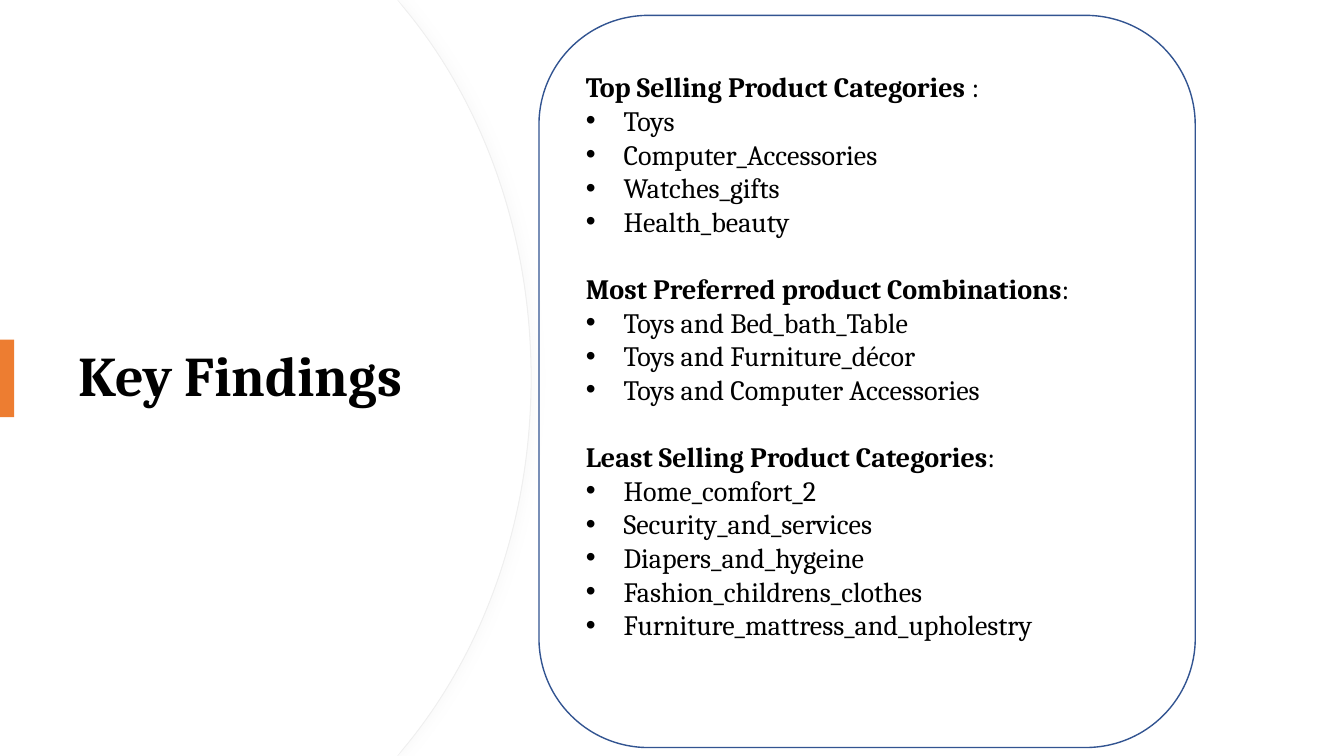
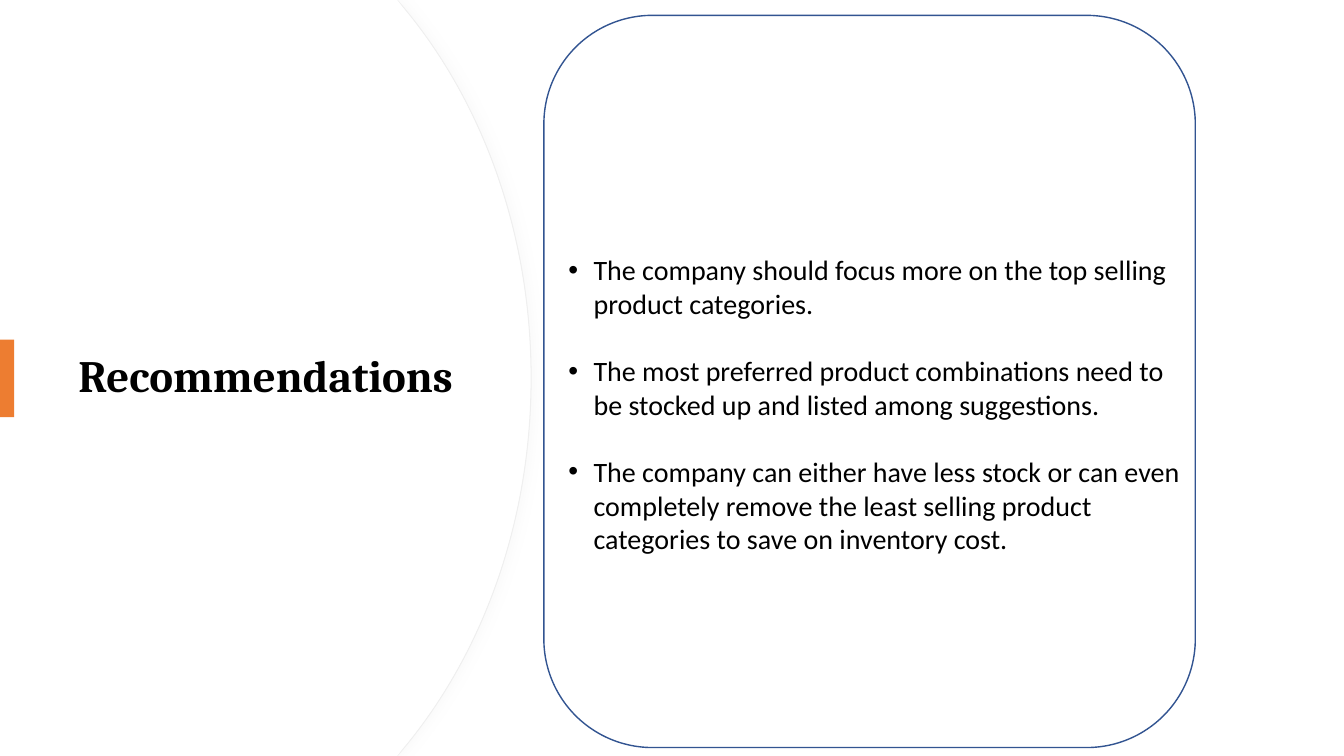
from lxml.etree import SubElement
from pptx import Presentation
from pptx.dml.color import RGBColor
from pptx.enum.shapes import MSO_SHAPE as Preset
from pptx.enum.text import MSO_ANCHOR as Anchor
from pptx.oxml.ns import qn
from pptx.util import Pt

COLORS = {
    "white": "FFFFFF",
    "black": "000000",
    "accent": "ED7D31",
    "frame": "325491",
    "edge": "EFEFEF",
    "shade": "D9D9D9",
}
SLIDE_WIDTH, SLIDE_HEIGHT = 960, 540
FRAME_TOP, FRAME_RIGHT, FRAME_HEIGHT = 11, 853.8, 523
BODY_RIGHT = 863.3
BLANK_LINE = 24
TITLE = {"name": "Cambria", "bold": True}
BODY = {"name": "Cambria", "size": Pt(20), "bold": False}
HEADING = {**BODY, "bold": True}
ADVICE = {**BODY, "name": "Calibri"}

FINDINGS = [
    ("Top Selling Product Categories", " :",
     ["Toys", "Computer_Accessories", "Watches_gifts", "Health_beauty"]),
    ("Most Preferred product Combinations", ":",
     ["Toys and Bed_bath_Table", "Toys and Furniture_décor",
      "Toys and Computer Accessories"]),
    ("Least Selling Product Categories", ":",
     ["Home_comfort_2", "Security_and_services", "Diapers_and_hygeine",
      "Fashion_childrens_clothes", "Furniture_mattress_and_upholestry"]),
]
RECOMMENDATIONS = [
    "The company should focus more on the top selling product categories.",
    "The most preferred product combinations need to be stocked up and "
    "listed among suggestions.",
    "The company can either have less stock or can even completely remove "
    "the least selling product categories to save on inventory cost.",
]


def color(name):
    return RGBColor.from_string(COLORS[name])


def paint(shape, fill=None, line=None, width=1):
    shape.shadow.inherit = False
    if fill:
        shape.fill.solid()
        shape.fill.fore_color.rgb = color(fill)
    else:
        shape.fill.background()
    if line:
        shape.line.color.rgb = color(line)
        shape.line.width = Pt(width)
    else:
        shape.line.fill.background()


def add_preset(slide, preset, left, top, width, height, **look):
    shape = slide.shapes.add_shape(preset, Pt(left), Pt(top), Pt(width), Pt(height))
    paint(shape, **look)


def bend(segments):
    curve = segments[0]
    curve.tag = qn("a:cubicBezTo")
    for segment in segments[1:]:
        curve.append(segment[0])
        segment.getparent().remove(segment)


def add_curved_panel(slide, inset=0, **look):
    upper = [(283.7, 0), (288.7 - inset, 5.8), (344.9 - inset, 73.4),
             (379.4 - inset, 167), (379.4 - inset, SLIDE_HEIGHT / 2)]
    lower = [(x, SLIDE_HEIGHT - y) for x, y in reversed(upper[:-1])]
    outline = [*upper, *lower, (0, SLIDE_HEIGHT)]
    builder = slide.shapes.build_freeform(0, 0)
    builder.add_line_segments([(Pt(x), Pt(y)) for x, y in outline], close=True)
    panel = builder.convert_to_shape()
    segments = list(panel.element.spPr.iter(qn("a:lnTo")))
    for first in (2, 5):
        bend(segments[first:first + 3])
    paint(panel, **look)
    return panel


def add_soft_shadow(shape):
    effects = shape.element.spPr.find(qn("a:effectLst"))
    shadow = SubElement(effects, qn("a:outerShdw"), blurRad=str(Pt(7)),
                        dist=str(Pt(3)), dir="0", algn="l", rotWithShape="0")
    shade = SubElement(shadow, qn("a:srgbClr"), val=COLORS["shade"])
    SubElement(shade, qn("a:alpha"), val="12000")


def add_text_box(slide, left, top, width, height, anchor=Anchor.TOP):
    box = slide.shapes.add_textbox(Pt(left), Pt(top), Pt(width), Pt(height))
    box.text_frame.word_wrap = True
    box.text_frame.vertical_anchor = anchor
    return box.text_frame


def add_para(frame, spans, gap=0, indent=0):
    first = frame.paragraphs[0]
    para = frame.add_paragraph() if first.runs else first
    para.space_before = Pt(gap)
    for text, style in spans:
        span = para.add_run()
        span.text = text
        span.font.color.rgb = color("black")
        for name, value in style.items():
            setattr(span.font, name, value)
    if indent:
        props = para._p.get_or_add_pPr()
        props.set("marL", str(Pt(indent)))
        props.set("indent", str(-Pt(indent)))
        SubElement(props, qn("a:buFont"), typeface="Arial")
        SubElement(props, qn("a:buChar"), char="•")
    return para


def add_page(deck, title, title_size, title_width, frame_left):
    page = deck.slides.add_slide(deck.slide_layouts[6])
    page.background.fill.solid()
    page.background.fill.fore_color.rgb = color("white")
    add_soft_shadow(add_curved_panel(page, fill="white", line="edge", width=0.75))
    add_curved_panel(page, inset=0.7, fill="white")
    frame = add_text_box(page, 49, 91.7, title_width, 356.4, Anchor.MIDDLE)
    para = add_para(frame, [(title, {**TITLE, "size": Pt(title_size)})])
    para.line_spacing = 0.9
    add_preset(page, Preset.RECTANGLE, 0, 242.6, 10.1, 55.4, fill="accent")
    add_preset(page, Preset.ROUNDED_RECTANGLE, frame_left, FRAME_TOP,
               FRAME_RIGHT - frame_left, FRAME_HEIGHT, line="frame")
    return page


def add_body(page, left, top, height):
    return add_text_box(page, left, top, BODY_RIGHT - left, height)


def add_findings(deck):
    page = add_page(deck, "Key Findings", 40, 283.7, 385)
    frame = add_body(page, 411.4, 46.4, 451.4)
    for number, (heading, ending, items) in enumerate(FINDINGS):
        add_para(frame, [(heading, HEADING), (ending, BODY)],
                 gap=BLANK_LINE if number else 0)
        for item in items:
            add_para(frame, [(item, BODY)], indent=27)


def add_recommendations(deck):
    page = add_page(deck, "Recommendations", 32, 297.4, 388.5)
    frame = add_body(page, 398.9, 177.1, 321.1)
    for number, advice in enumerate(RECOMMENDATIONS):
        add_para(frame, [(advice, ADVICE)],
                 gap=BLANK_LINE if number else 0, indent=18)


def main():
    deck = Presentation()
    deck.slide_width, deck.slide_height = Pt(SLIDE_WIDTH), Pt(SLIDE_HEIGHT)
    add_findings(deck)
    add_recommendations(deck)
    deck.save("out.pptx")


if __name__ == "__main__":
    main()
